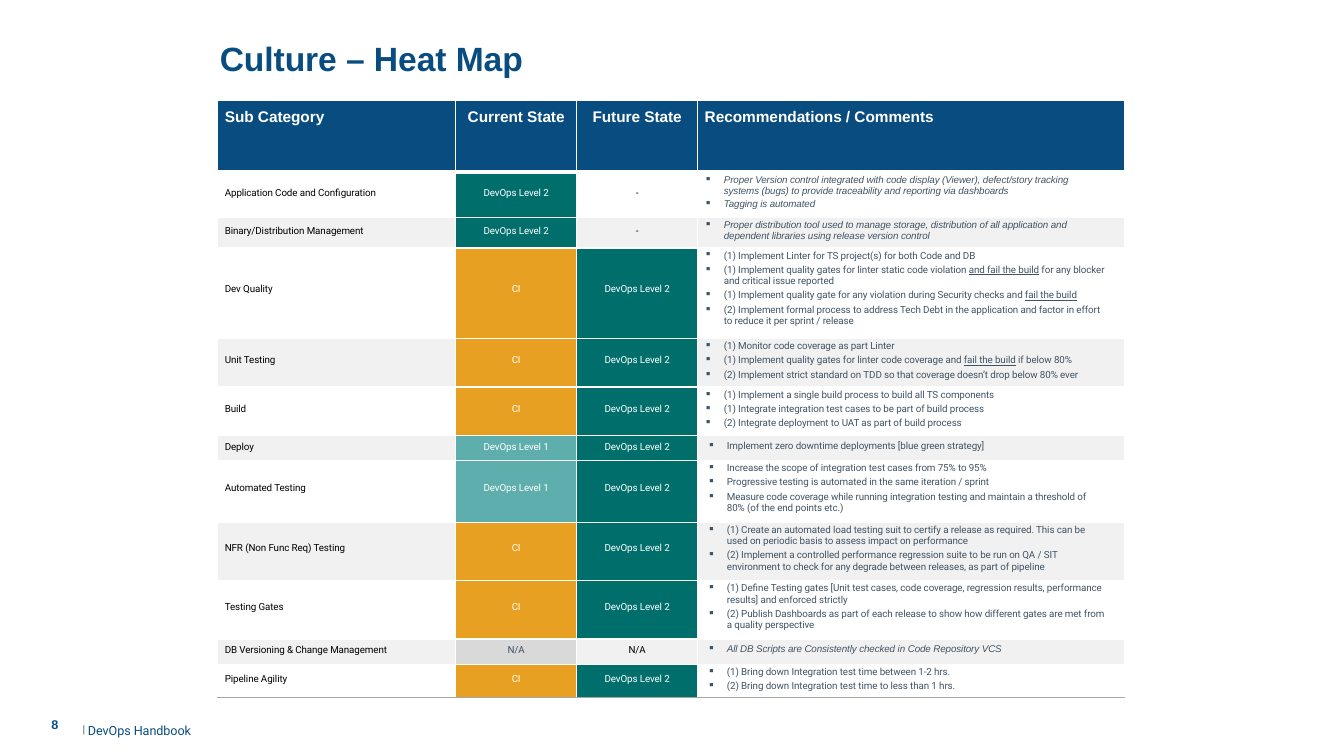
import itertools

import pptx
import pptx.dml.color
import pptx.enum.text
import pptx.oxml
import pptx.oxml.ns
import pptx.util

Inches = pptx.util.Inches
Pt = pptx.util.Pt
ALIGN = pptx.enum.text.PP_ALIGN
ANCHOR = pptx.enum.text.MSO_ANCHOR

NAVY, SLATE, WHITE, BLACK = "094D80", "415363", "FFFFFF", "000000"
BAND, RULE = "F1F1F1", "A6A6A6"

# Fill and text colour of each maturity level
LEVELS = {
    "CI": ("E8A022", WHITE),
    "DevOps Level 1": ("5FAEAE", WHITE),
    "DevOps Level 2": ("006F6C", WHITE),
    "N/A": ("D9D9D9", SLATE),
}
HEADINGS = ["Sub Category", "Current State", "Future State", "Recommendations / Comments"]
COLUMN_WIDTHS = [2.36, 1.2, 1.2, 4.23]
HEADER_HEIGHT = 0.71
L1, L2 = "DevOps Level 1", "DevOps Level 2"

# Height, category, current, future, comment indent, italic, comments
# (underscores enclose underlined words)
CATEGORIES = [
    (0.45, "Application Code and Configuration", L2, "-", 0.26, True, [
        "Proper Version control integrated with code display (Viewer), defect/story tracking\n"
        "systems (bugs) to provide traceability and reporting via dashboards",
        "Tagging is automated"]),
    (0.3, "Binary/Distribution Management", L2, "-", 0.26, True, [
        "Proper distribution tool used to manage storage, distribution of all application and\n"
        "dependent libraries using release version control"]),
    (0.9, "Dev Quality", "CI", L2, 0.26, False, [
        "(1) Implement Linter for TS project(s) for both Code and DB",
        "(1) Implement quality gates for linter static code violation _and fail the build_ for any blocker\n"
        "and critical issue reported",
        "(1) Implement quality gate for any violation during Security checks and _fail the build_",
        "(2) Implement formal process to address Tech Debt in the application and factor in effort\n"
        "to reduce it per sprint / release"]),
    (0.48, "Unit Testing", "CI", L2, 0.26, False, [
        "(1) Monitor code coverage as part Linter",
        "(1) Implement quality gates for linter code coverage and _fail the build_ if below 80%",
        "(2) Implement strict standard on TDD so that coverage doesn’t drop below 80% ever"]),
    (0.48, "Build", "CI", L2, 0.26, False, [
        "(1) Implement a single build process to build all TS components",
        "(1) Integrate integration test cases to be part of build process",
        "(2) Integrate deployment to UAT as part of build process"]),
    (0.25, "Deploy", L1, L2, 0.29, False, [
        "Implement zero downtime deployments [blue green strategy]"]),
    (0.61, "Automated Testing", L1, L2, 0.29, False, [
        "Increase the scope of integration test cases from 75% to 95%",
        "Progressive testing is automated in the same iteration / sprint",
        "Measure code coverage while running integration testing and maintain a threshold of\n"
        "80% (of the end points etc.)"]),
    (0.58, "NFR (Non Func Req) Testing", "CI", L2, 0.29, False, [
        "(1) Create an automated load testing suit to certify a release as required. This can be\n"
        "used on periodic basis to assess impact on performance",
        "(2) Implement a controlled performance regression suite to be run on QA / SIT\n"
        "environment to check for any degrade between releases, as part of pipeline"]),
    (0.58, "Testing Gates", "CI", L2, 0.29, False, [
        "(1) Define Testing gates [Unit test cases, code coverage, regression results, performance\n"
        "results] and enforced strictly",
        "(2) Publish Dashboards as part of each release to show how different gates are met from\n"
        "a quality perspective"]),
    (0.25, "DB Versioning & Change Management", "N/A", "N/A", 0.29, True, [
        "All DB Scripts are Consistently checked in Code Repository VCS"]),
    (0.33, "Pipeline Agility", "CI", L2, 0.29, False, [
        "(1) Bring down Integration test time between 1-2 hrs.",
        "(2) Bring down Integration test time to less than 1 hrs."]),
]


def rgb(hex_colour):
    return pptx.dml.color.RGBColor.from_string(hex_colour)


def add_xml(parent, xml, index=None):
    namespace = pptx.oxml.ns.nsdecls("a")
    element = pptx.oxml.parse_xml(xml.replace(" ", f" {namespace} ", 1))
    parent.insert(len(parent) if index is None else index, element)


def add_text(paragraph, text, size=7, font="Roboto", colour=BLACK, bold=False,
             italic=False, baseline=None):
    """Write text; underscores toggle underline and \\n breaks the line."""
    for part, segment in enumerate(text.split("_")):
        for number, line in enumerate(segment.split("\n")):
            if number:
                paragraph.add_line_break()
            if not line:
                continue
            run = paragraph.add_run()
            run.text = line
            run.font.size = Pt(size)
            run.font.name = font
            run.font.color.rgb = rgb(colour)
            run.font.bold = bold
            run.font.italic = italic
            run.font.underline = part % 2 == 1
            properties = run._r.get_or_add_rPr()
            properties.set("spc", "-5")
            if baseline:
                properties.set("baseline", str(baseline))


def set_indent(paragraph, left, first=0, bullet=None):
    properties = paragraph._p.get_or_add_pPr()
    properties.set("marL", str(Inches(left)))
    properties.set("indent", str(Inches(first)))
    if bullet:
        add_xml(properties, f'<a:buChar char="{bullet}"/>')


def set_insets(target, top=0, bottom=0):
    target.margin_left = target.margin_right = 0
    target.margin_top, target.margin_bottom = Inches(top), Inches(bottom)


def set_borders(cell, top=(WHITE, 1), bottom=(WHITE, 1)):
    sides = {"L": (WHITE, 1), "R": (WHITE, 1), "T": top, "B": bottom}
    for index, (side, (colour, width)) in enumerate(sides.items()):
        add_xml(cell._tc.get_or_add_tcPr(),
                f'<a:ln{side} w="{Pt(width)}"><a:solidFill><a:srgbClr val="{colour}"/>'
                f'</a:solidFill></a:ln{side}>', index)


def set_fill(cell, colour):
    if colour:
        cell.fill.solid()
        cell.fill.fore_color.rgb = rgb(colour)
    else:
        cell.fill.background()


def fill_label(cell, text, fill, centred=True, **text_format):
    """A one-line cell: a heading, a category or a level."""
    set_fill(cell, fill)
    paragraph = cell.text_frame.paragraphs[0]
    if centred:
        paragraph.alignment = ALIGN.CENTER
    else:
        set_indent(paragraph, 0.07)
    add_text(paragraph, text, **text_format)


def fill_comments(cell, comments, fill, indent, italic):
    set_fill(cell, fill)
    alone = len(comments) == 1 and "\n" not in comments[0]
    set_insets(cell, top=0.05 if alone else 0.02)
    frame = cell.text_frame
    for number, comment in enumerate(comments):
        paragraph = frame.add_paragraph() if number else frame.paragraphs[0]
        paragraph.space_before = Pt(2 if number else 1.3)
        set_indent(paragraph, indent, -0.19, "▪")
        add_text(paragraph, comment, colour=SLATE, italic=italic,
                 font="Arial" if italic else "Roboto")


def add_title(slide):
    title = slide.shapes.title
    title.left, title.top, title.width, title.height = map(Inches, (2.17, 0.36, 3.05, 0.43))
    frame = title.text_frame
    frame.word_wrap = False
    frame.vertical_anchor = ANCHOR.MIDDLE
    set_insets(frame)
    paragraph = frame.paragraphs[0]
    paragraph.alignment = ALIGN.LEFT
    set_indent(paragraph, 0.01)
    add_text(paragraph, "Culture – Heat Map", size=24, font="Arial", colour=NAVY, bold=True)


def add_heat_map(slide):
    heights = [HEADER_HEIGHT] + [category[0] for category in CATEGORIES]
    heat_map = slide.shapes.add_table(
        len(heights), len(COLUMN_WIDTHS), Inches(2.16), Inches(1),
        Inches(sum(COLUMN_WIDTHS)), Inches(sum(heights))).table
    heat_map.horz_banding = False
    for column, width in zip(heat_map.columns, COLUMN_WIDTHS):
        column.width = Inches(width)
    for row, height in zip(heat_map.rows, heights):
        row.height = Inches(height)

    # Header row
    for column, heading in enumerate(HEADINGS):
        cell = heat_map.cell(0, column)
        set_insets(cell, top=0.08)
        fill_label(cell, heading, NAVY, centred=column in (1, 2),
                   size=11, font="Arial", colour=WHITE, bold=True)

    # Category rows
    for row, (height, category, current, future, indent, italic, comments) in enumerate(CATEGORIES, 1):
        band = BAND if row % 2 == 0 else None
        name_cell, current_cell, future_cell, comment_cell = (
            heat_map.cell(row, column) for column in range(4))
        for cell in (name_cell, current_cell, future_cell):
            set_insets(cell, bottom=0.1 * height)
            cell.vertical_anchor = ANCHOR.MIDDLE
        fill_label(name_cell, category, band, centred=False)
        current_fill, current_colour = LEVELS[current]
        fill_label(current_cell, current, current_fill, colour=current_colour)
        future_fill, future_colour = LEVELS[L2] if future == L2 else (band, BLACK)
        fill_label(future_cell, future, future_fill, colour=future_colour)
        fill_comments(comment_cell, comments, band, indent, italic)

    # Borders: thick under the header, grey rule at the end
    last = len(CATEGORIES)
    for row, column in itertools.product(range(last + 1), range(4)):
        set_borders(heat_map.cell(row, column),
                    top=(WHITE, 3 if row == 1 else 1),
                    bottom=(RULE, 0.75) if row == last else (WHITE, 3 if row == 0 else 1))


def add_footer_line(slide, left, width):
    """Return the paragraph of a one-line box at the foot of the slide."""
    frame = slide.shapes.add_textbox(Inches(left), Inches(7.11), Inches(width),
                                     Inches(0.19)).text_frame
    frame.word_wrap = True
    set_insets(frame)
    return frame.paragraphs[0]


def add_footer(slide):
    page_number = add_footer_line(slide, 0.51, 0.25)
    page_number.space_before = Pt(1.4)
    add_text(page_number, "8", size=9, font="Arial", colour=NAVY, bold=True)
    deck_name = add_footer_line(slide, 0.82, 1.6)
    add_text(deck_name, "| ", size=13.5, colour=SLATE, baseline=9000)
    add_text(deck_name, "DevOps Handbook", size=9, colour=NAVY)


def main():
    deck = pptx.Presentation()
    deck.slide_width, deck.slide_height = Inches(13.33), Inches(7.5)
    slide = deck.slides.add_slide(deck.slide_layouts[5])
    add_title(slide)
    add_heat_map(slide)
    add_footer(slide)
    deck.save("out.pptx")


if __name__ == "__main__":
    main()
